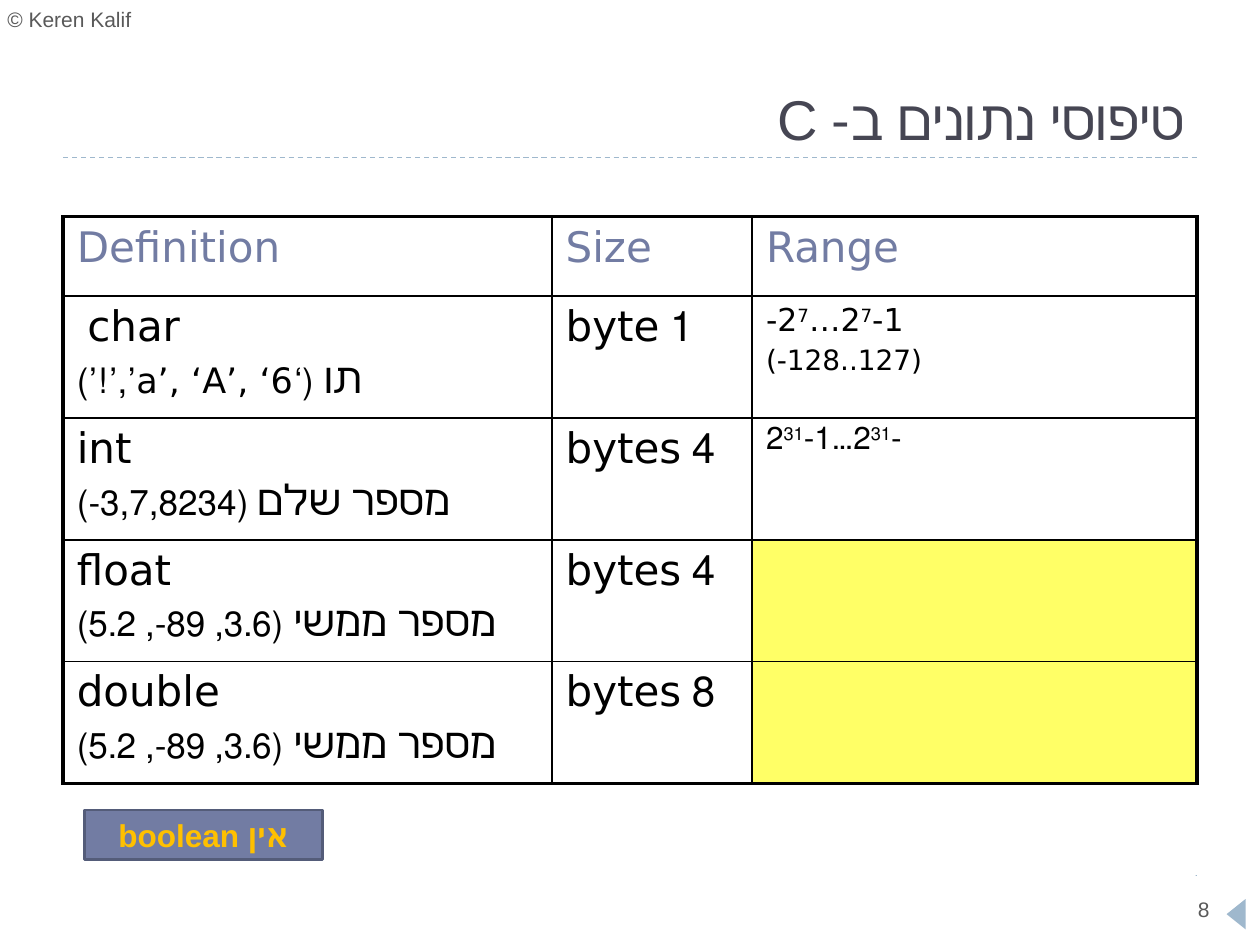
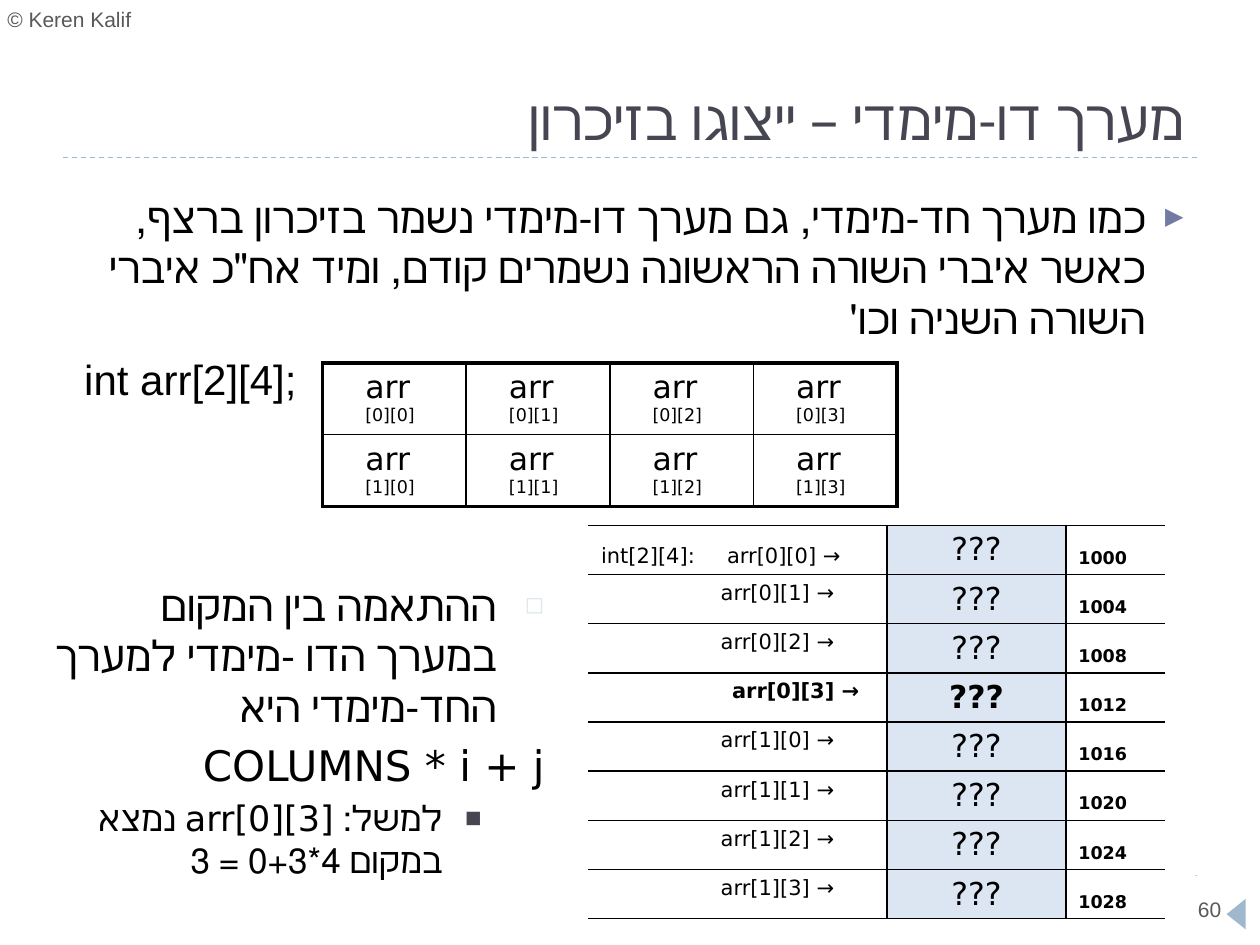
from lxml import etree
from pptx import Presentation, util as u
from pptx.dml.color import RGBColor
from pptx.enum import dml, shapes, text
from pptx.oxml.ns import qn

COLORS = {"ink": "000000", "title": "464653", "grey": "595959", "accent": "727CA3",
          "accent_edge": "545C79", "rule": "9FB8CD", "paper": "FFFFFF",
          "missing": "FFFF66", "memory": "DCE6F2", "gold": "FFC000", "pale": "DDE9EC"}
ALIGN = {"l": text.PP_ALIGN.LEFT, "r": text.PP_ALIGN.RIGHT, "c": text.PP_ALIGN.CENTER}
RGB = {name: RGBColor.from_string(value) for name, value in COLORS.items()}
SANS, MONO = "Arial", "DejaVu Sans"


def write(frame, content, size=24, font=MONO, color="ink", bold=False, align="l", rtl=False,
          gap=None, margin=0, hang=0, bullet=None, tab=None, level=0):
    first = not frame.paragraphs[0].runs
    line = frame.paragraphs[0] if first else frame.add_paragraph()
    line.alignment, line.level = ALIGN[align], level
    props = line._p.get_or_add_pPr()
    props.set("marL", str(u.Inches(margin)))
    props.set("indent", str(u.Inches(-hang)))
    props.set("rtl", str(int(rtl)))
    if bullet:
        mark, mark_color, percent = bullet
        tint = etree.SubElement(props, qn("a:buClr"))
        etree.SubElement(tint, qn("a:srgbClr"), val=COLORS[mark_color])
        etree.SubElement(props, qn("a:buSzPct"), val=str(percent * 1000))
        etree.SubElement(props, qn("a:buFont"), typeface=MONO)
        etree.SubElement(props, qn("a:buChar"), char=mark)
    else:
        etree.SubElement(props, qn("a:buNone"))
    if tab:
        stops = etree.SubElement(props, qn("a:tabLst"))
        etree.SubElement(stops, qn("a:tab"), pos=str(u.Inches(tab)), algn="l")
    pieces = [(content, size, 0)] if isinstance(content, str) else content
    if not first:
        line.space_before = u.Pt(gap or pieces[0][1] * 0.2)
    for words, points, raised in pieces:
        run = line.add_run()
        run.text = words
        run.font.size, run.font.bold, run.font.name = u.Pt(points), bold, font
        run.font.color.rgb = RGB[color]
        if raised:
            run._r.get_or_add_rPr().set("baseline", str(raised * 1000))


def add_grid(slide, left, top, widths, heights, side=2.25, end=2.25, inset=0.1):
    grid = slide.shapes.add_table(len(heights), len(widths), u.Inches(left), u.Inches(top),
                                  u.Inches(sum(widths)), u.Inches(sum(heights))).table
    grid.first_row = grid.horz_banding = False
    for column, width in zip(grid.columns, widths):
        column.width = u.Inches(width)
    for r, height in enumerate(heights):
        grid.rows[r].height = u.Inches(height)
        for c in range(len(widths)):
            cell = grid.cell(r, c)
            cell.margin_left = cell.margin_right = u.Inches(inset)
            borders = {"lnL": side if c == 0 else 1,
                       "lnR": side if c == len(widths) - 1 else 1,
                       "lnT": end if r == 0 else 1,
                       "lnB": end if r == len(heights) - 1 else 1}
            for edge, weight in borders.items():
                border = etree.SubElement(cell._tc.get_or_add_tcPr(), qn("a:" + edge),
                                          w=str(u.Pt(weight)))
                if weight:
                    paint = etree.SubElement(border, qn("a:solidFill"))
                    etree.SubElement(paint, qn("a:srgbClr"), val=COLORS["ink"])
                else:
                    etree.SubElement(border, qn("a:noFill"))
            cell.fill.background()
    return grid


deck = Presentation()
deck.slide_width, deck.slide_height = u.Inches(10), u.Inches(7.5)

for number, title in [("8", "טיפוסי נתונים ב- C"), ("60", "מערך דו-מימדי – ייצוגו בזיכרון")]:
    slide = deck.slides.add_slide(deck.slide_layouts[6])
    for y in (6.95, 1.25):
        rule = slide.shapes.add_connector(shapes.MSO_CONNECTOR.STRAIGHT, u.Inches(0.5),
                                          u.Inches(y), u.Inches(9.5), u.Inches(y))
        rule.line.color.rgb, rule.line.width = RGB["rule"], u.Pt(0.75)
        rule.line.dash_style = dml.MSO_LINE.DASH
        etree.SubElement(rule._element.spPr, qn("a:effectLst"))
    for kind, place, color, turn in [
            (shapes.MSO_SHAPE.ISOSCELES_TRIANGLE, (9.69, 7.18, 0.24, 0.15), "rule", 270),
            (shapes.MSO_SHAPE.RECTANGLE, (0.43, 6.82, 9.06, 0.16), "paper", 0)]:
        decor = slide.shapes.add_shape(kind, *map(u.Inches, place))
        decor.fill.solid()
        decor.fill.fore_color.rgb = RGB[color]
        decor.line.fill.background()
        decor.shadow.inherit = False
        decor.rotation = turn
    small = {"size": 12, "color": "grey"}
    for words, place, style in [
            ("© Keren Kalif", (-0.04, 0, 1.5, 0.3), small),
            (number, (9.41, 7.07, 0.47, 0.3), small),
            (title, (0.35, 0.17, 9.15, 1.08),
             {"size": 32, "color": "title", "align": "r", "rtl": True})]:
        frame = slide.shapes.add_textbox(*map(u.Inches, place)).text_frame
        frame.word_wrap = True
        write(frame, words, font=SANS, **style)
    frame.vertical_anchor = text.MSO_ANCHOR.BOTTOM

types_slide, memory_slide = deck.slides

types = add_grid(types_slide, 0.5, 1.72, [3.88, 1.59, 3.53], [0.63] + [0.89] * 4, inset=0.11)
for c, heading in enumerate(["Definition", "Size", "Range"]):
    write(types.cell(0, c).text_frame, heading, color="accent", rtl=True)
real = ("מספר ממשי ", "(3.6, 89-, 5.2)")
for r, (name, (meaning, samples), size) in enumerate([
        ("char ", ("תו ", "(‘a’, ‘A’, ‘6’,’!’)"), "1 byte"),
        ("int", ("מספר שלם", " (3,7,8234-)"), "4 bytes"),
        ("float", real, "4 bytes"),
        ("double", real, "8 bytes")], start=1):
    definition = types.cell(r, 0).text_frame
    write(definition, name, rtl=True)
    write(definition, [(meaning, 24, 0), (samples, 20, 0)], rtl=True)
    write(types.cell(r, 1).text_frame, size, rtl=True)
for r, power, rtl in [(1, "7", False), (2, "31", True)]:
    write(types.cell(r, 2).text_frame,
          [("-2", 18, 0), (power, 18, 30), ("…2", 18, 0), (power, 18, 30), ("-1", 18, 0)],
          rtl=rtl)
write(types.cell(1, 2).text_frame, "(-128..127)", size=16)
for r in (3, 4):
    unknown_range = types.cell(r, 2)
    unknown_range.fill.solid()
    unknown_range.fill.fore_color.rgb = RGB["missing"]

no_boolean = types_slide.shapes.add_shape(shapes.MSO_SHAPE.RECTANGLE, u.Inches(0.67),
                                          u.Inches(6.43), u.Inches(1.89), u.Inches(0.39))
no_boolean.fill.solid()
no_boolean.fill.fore_color.rgb = RGB["accent"]
no_boolean.line.color.rgb, no_boolean.line.width = RGB["accent_edge"], u.Pt(1.5)
no_boolean.shadow.inherit = False
no_boolean.text_frame.vertical_anchor = text.MSO_ANCHOR.MIDDLE
write(no_boolean.text_frame, "אין boolean", size=18, font=SANS, color="gold", bold=True,
      align="c", rtl=True)

hebrew = {"align": "r", "rtl": True}
for place, lines in [
    ((0.57, 1.47, 8.92, 4.95), [
        ("כמו מערך חד-מימדי, גם מערך דו-מימדי נשמר בזיכרון ברצף, כאשר איברי השורה הראשונה "
         "נשמרים קודם, ומיד אח\"כ איברי השורה השניה וכו'",
         {"font": SANS, "margin": 0.3, "hang": 0.3, "bullet": ("▶", "accent", 57), **hebrew}),
        ("int arr[2][4];", {"font": SANS, "gap": 6})]),
    ((0.17, 4.55, 4.25, 2.45), [
        ("ההתאמה בין המקום במערך הדו -מימדי למערך החד-מימדי היא",
         {"margin": 0.38, "hang": 0.38, "bullet": ("◻", "pale", 57), **hebrew}),
        ("COLUMNS * i + j", hebrew),
        ("למשל: arr[0][3] נמצא במקום 4*0+3 = 3",
         {"size": 20, "margin": 0.81, "hang": 0.31, "level": 1,
          "bullet": ("■", "title", 50), **hebrew})])]:
    frame = memory_slide.shapes.add_textbox(*map(u.Inches, place)).text_frame
    frame.word_wrap = True
    for words, style in lines:
        write(frame, words, **style)

memory = add_grid(memory_slide, 4.67, 4.17, [2.37, 1.42, 0.79], [0.39] * 8, side=0, end=1)
matrix = add_grid(memory_slide, 2.56, 2.88, [1.14] * 4, [0.57] * 2, inset=0.34)
for i in range(8):
    row, column = divmod(i, 4)
    index = f"[{row}][{column}]"
    write(matrix.cell(row, column).text_frame, [("arr ", 18, 0), (index, 10, 0)])
    label, value, address = (memory.cell(i, c) for c in range(3))
    example = i == 3
    if i == 0:
        label.vertical_anchor = text.MSO_ANCHOR.BOTTOM
        write(label.text_frame, f"int[2][4]:\tarr{index} →", size=12, tab=0.9)
    else:
        write(label.text_frame, f"arr{index} →", size=12, bold=example,
              margin=1.04 if example else 0.95)
    value.fill.solid()
    value.fill.fore_color.rgb = RGB["memory"]
    value.margin_bottom = u.Inches(0.04)
    write(value.text_frame, "???", size=18, bold=example, align="c")
    address.vertical_anchor = text.MSO_ANCHOR.BOTTOM
    write(address.text_frame, str(1000 + 4 * i), size=10, bold=True)

deck.save("out.pptx")
